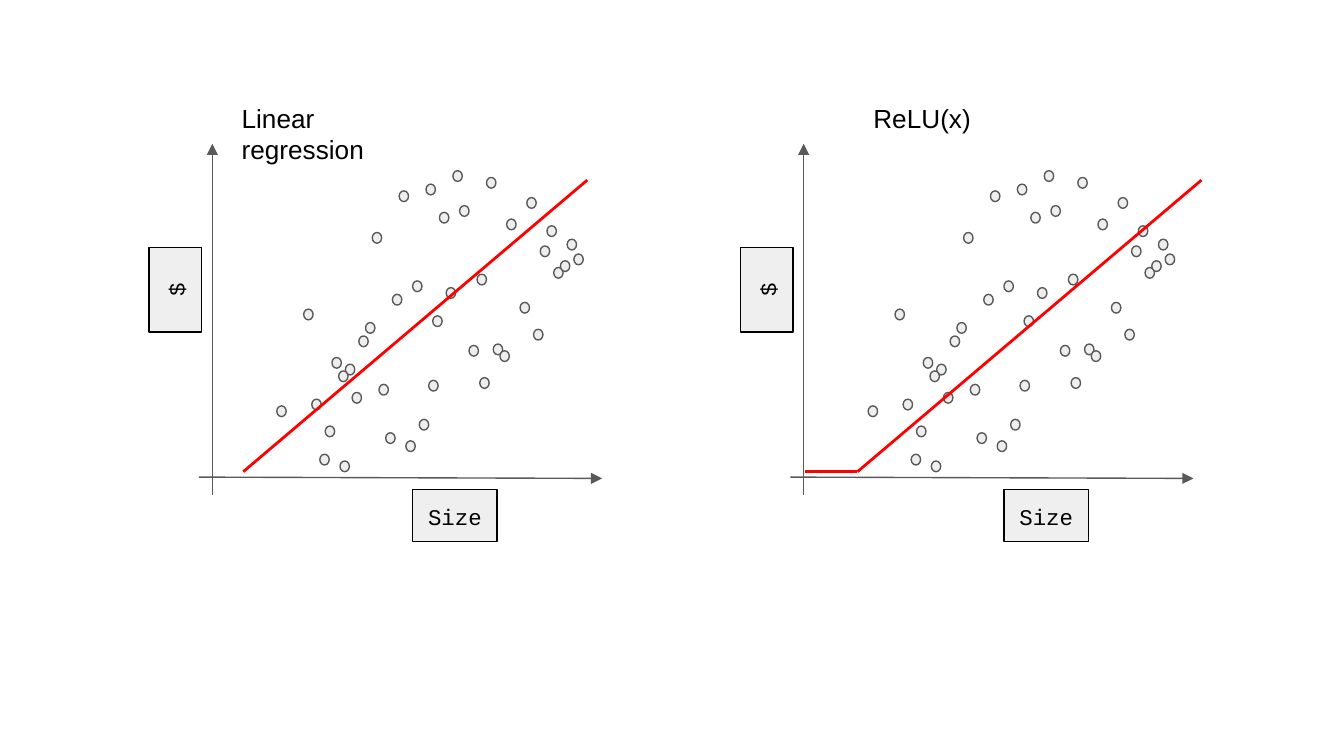
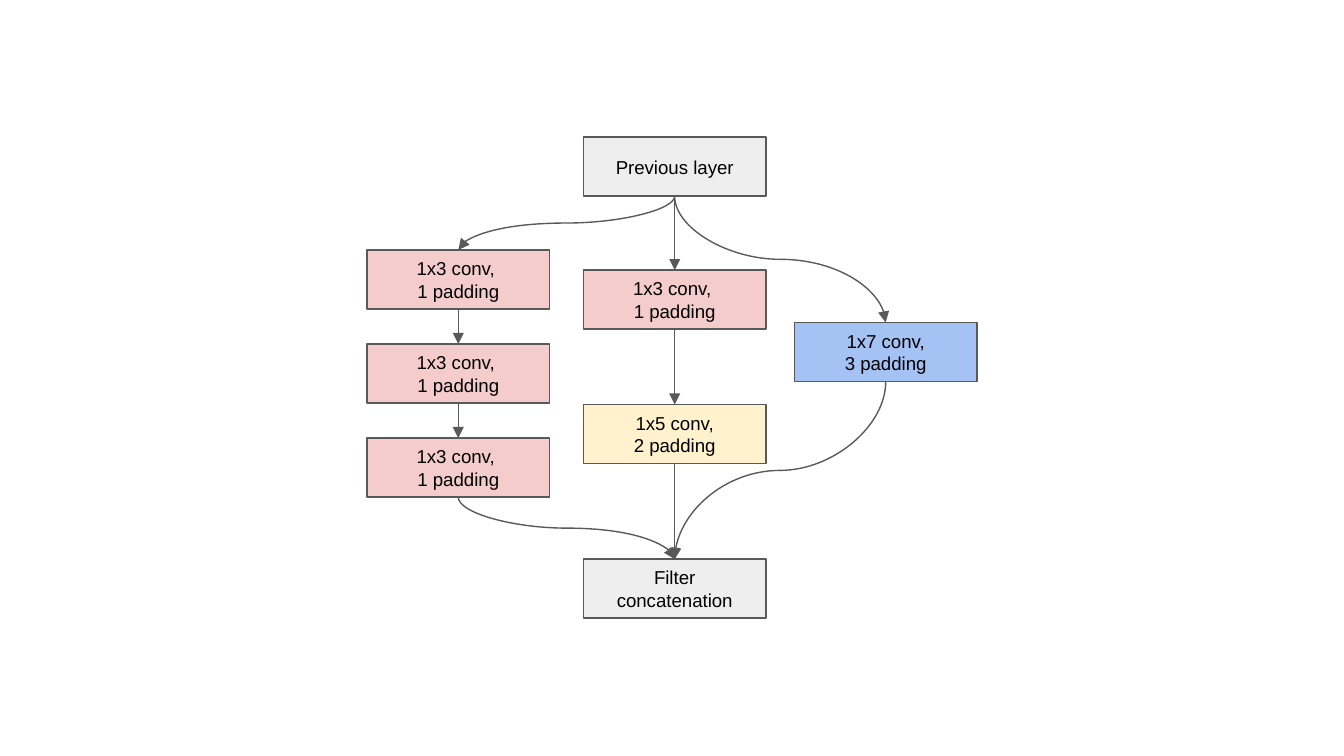
import pptx
import pptx.dml.color
import pptx.enum.shapes
import pptx.enum.text
import pptx.oxml.ns
import pptx.util
import lxml.etree

PX = 9144  # EMU in one px, 100 px to the inch
BLACK = pptx.dml.color.RGBColor(0x00, 0x00, 0x00)
GRAY = pptx.dml.color.RGBColor(0x59, 0x59, 0x59)
RED = pptx.dml.color.RGBColor(0xFF, 0x00, 0x00)
PALE = pptx.dml.color.RGBColor(0xEE, 0xEE, 0xEE)
LABEL = pptx.dml.color.RGBColor(0xEF, 0xEF, 0xEF)
PINK = pptx.dml.color.RGBColor(0xF4, 0xCC, 0xCC)
YELLOW = pptx.dml.color.RGBColor(0xFF, 0xF2, 0xCC)
BLUE = pptx.dml.color.RGBColor(0xA4, 0xC2, 0xF4)

SHAPE = pptx.enum.shapes.MSO_SHAPE
CONNECTOR = pptx.enum.shapes.MSO_CONNECTOR
ANCHOR = pptx.enum.text.MSO_ANCHOR
ALIGN = pptx.enum.text.PP_ALIGN

TITLE = {"name": "Arial", "size": pptx.util.Pt(14)}
AXIS_NAME = {"name": "Courier New", "size": pptx.util.Pt(12)}
LAYER = {"name": "Arial", "size": pptx.util.Pt(10)}
MARGINS = {f"margin_{side}": 10 * PX for side in ("left", "top", "right", "bottom")}


def add_box(page, kind, bounds, fill=None, line=GRAY, text="", font=None,
            align=ALIGN.CENTER, anchor=ANCHOR.TOP):
    """Add a filled shape, or a plain text box when kind is None."""
    bounds = [value * PX for value in bounds]
    if kind is None:
        box = page.shapes.add_textbox(*bounds)
    else:
        box = page.shapes.add_shape(kind, *bounds)
        box.shadow.inherit = False
        box.fill.solid()
        box.fill.fore_color.rgb = fill
        box.line.color.rgb = line
        box.line.width = pptx.util.Pt(0.75)
    if text:
        frame = box.text_frame
        frame_format = {**MARGINS, "word_wrap": True, "vertical_anchor": anchor}
        for name, value in frame_format.items():
            setattr(frame, name, value)
        for index, words in enumerate(text.split("\n")):
            para = frame.add_paragraph() if index else frame.paragraphs[0]
            para.alignment = align
            span = para.add_run()
            span.text = words
            span.font.color.rgb = BLACK
            for name, value in font.items():
                setattr(span.font, name, value)
    return box


def add_line(page, start, end, color=GRAY, width=0.75, arrow=True, curved=False):
    """Join two points; a curved line leaves and arrives vertically."""
    (x1, y1), (x2, y2) = start, end
    kind = CONNECTOR.STRAIGHT
    if curved:
        # Ends of the line before its quarter turn about the middle
        kind = CONNECTOR.CURVE
        middle_x, middle_y = (x1 + x2) / 2, (y1 + y2) / 2
        half_w, half_h = (x2 - x1) / 2, (y2 - y1) / 2
        x1, y1 = middle_x - half_h, middle_y + half_w
        x2, y2 = middle_x + half_h, middle_y - half_w
    line = page.shapes.add_connector(kind, *[int(v * PX) for v in (x1, y1, x2, y2)])
    line.line.color.rgb = color
    line.line.width = pptx.util.Pt(width)
    qn = pptx.oxml.ns.qn
    properties = line.element.spPr
    if curved:
        properties.find(qn("a:xfrm")).set("rot", "5400000")
    if arrow:
        tail = lxml.etree.SubElement(properties.find(qn("a:ln")), qn("a:tailEnd"))
        tail.set("type", "triangle")
    lxml.etree.SubElement(properties, qn("a:effectLst"))


deck = pptx.Presentation()
deck.slide_width = 1000 * PX
deck.slide_height = deck.slide_width * 9 // 16
blank = deck.slide_layouts[6]

# Slide 1: the same scatter plot twice, with two fits
page = deck.slides.add_slide(blank)
points = [
    (226, 230), (206, 302), (238, 338), (247, 266), (253, 343), (262, 292),
    (242, 317), (232, 297), (317, 137), (257, 271), (342, 153), (355, 204),
    (272, 240), (277, 173), (307, 209), (302, 328), (322, 235), (357, 281),
    (349, 257), (319, 283), (282, 286), (312, 312), (407, 168), (397, 245),
    (422, 178), (427, 189), (412, 199), (402, 183), (417, 194), (297, 142),
    (252, 276), (327, 158), (287, 322), (332, 214), (267, 250), (292, 219),
    (362, 132), (367, 256), (392, 147), (387, 225), (337, 127), (377, 163),
    (372, 261),
]
plots = [
    (0, [(181, 351), (437, 134)]),
    (440, [(599, 351), (638, 351), (894, 134)]),
]
for shift, fit in plots:
    for x, y in points:
        add_box(page, SHAPE.OVAL, (x + shift, y, 7, 8), PALE)

    # Axes and their names
    add_line(page, (148 + shift, 355), (448 + shift, 356))
    add_line(page, (158 + shift, 368), (158 + shift, 107))
    for name, x, y, turn in [("Size", 307, 364, 0), ("$", 99, 196, 270)]:
        label = add_box(page, SHAPE.RECTANGLE, (x + shift, y, 63, 39),
                        LABEL, BLACK, name, AXIS_NAME)
        label.rotation = turn

    # Fitted line
    for start, end in zip(fit, fit[1:]):
        add_line(page, start, end, RED, 1.5, arrow=False)

for title, x, width in [("Linear regression", 170, 160), ("ReLU(x)", 640, 100)]:
    add_box(page, None, (x, 66, width, 56), text=title, font=TITLE, align=ALIGN.LEFT)

# Slide 2: three convolution branches between two layers
page = deck.slides.add_slide(blank)
LAYER_W, LAYER_H = 136, 44
LEFT, CENTER, RIGHT = 273, 434, 591
conv3 = "1x3 conv, \n1 padding"
previous = (CENTER, 102, PALE, "Previous layer")
concatenation = (CENTER, 416, PALE, "Filter concatenation")
branches = [
    [(LEFT, y, PINK, conv3) for y in (186, 256, 326)],
    [(CENTER, 201, PINK, conv3), (CENTER, 301, YELLOW, "1x5 conv,\n2 padding")],
    [(RIGHT, 240, BLUE, "1x7 conv,\n3 padding")],
]
for x, y, fill, text in [previous, *sum(branches, []), concatenation]:
    add_box(page, SHAPE.RECTANGLE, (x, y, LAYER_W, LAYER_H), fill,
            text=text, font=LAYER, anchor=ANCHOR.MIDDLE)

# Arrows down each branch, curved where they leave the previous layer
# or change column
for branch in branches:
    chain = [previous, *branch, concatenation]
    for upper, lower in zip(chain, chain[1:]):
        start = (upper[0] + LAYER_W // 2, upper[1] + LAYER_H)
        end = (lower[0] + LAYER_W // 2, lower[1])
        curved = upper is previous or upper[0] != lower[0]
        add_line(page, start, end, curved=curved)

deck.save("out.pptx")
